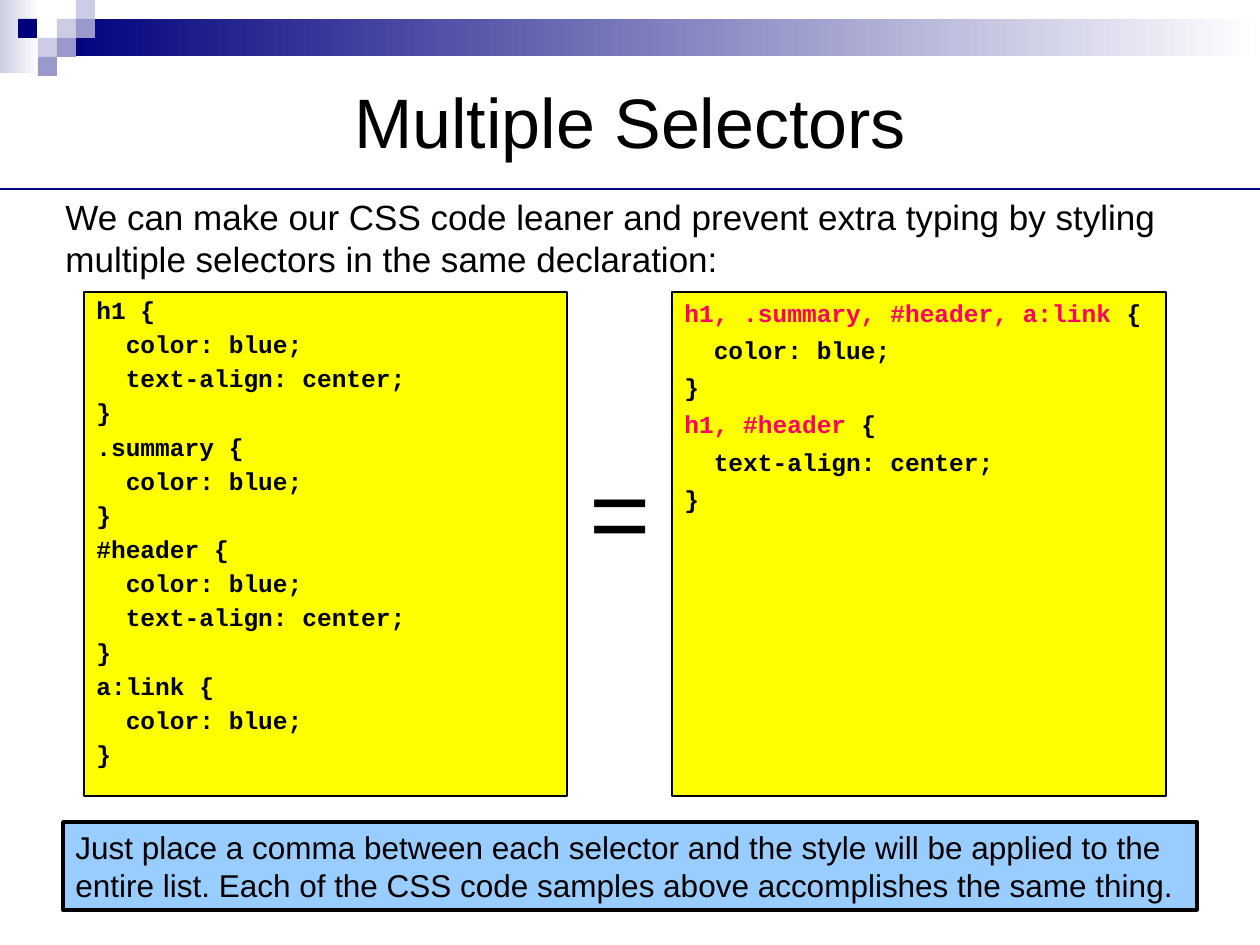
from pptx import Presentation
from pptx.dml.color import RGBColor
from pptx.enum.shapes import MSO_CONNECTOR, MSO_SHAPE
from pptx.enum.text import MSO_ANCHOR, PP_ALIGN
from pptx.oxml.ns import qn
from pptx.util import Pt
from lxml.etree import SubElement

EMU_PER_PX = 914400 / 126
COLORS = {
    "navy": "00007D", "lilac": "CCCCE6", "violet": "9999CC", "white": "FFFFFF",
    "black": "000000", "yellow": "FFFF00", "sky": "99CCFF", "pink": "FF0066",
}
TILE = 19
TILES = [  # left, row, color
    (57, 1, "lilac"), (76, 0, "lilac"), (76, 1, "violet"), (38, 2, "lilac"),
    (18, 1, "navy"), (57, 2, "violet"), (38, 3, "violet"),
]
BLUE = "  color: blue;"
CENTERED = "  text-align: center;"
SEPARATE_RULES = [
    "h1 {", BLUE, CENTERED, "}",
    ".summary {", BLUE, "}",
    "#header {", BLUE, CENTERED, "}",
    "a:link {", BLUE, "}",
]
GROUPED_RULES = [
    ("h1, .summary, #header, a:link", " {"), BLUE, "}",
    ("h1, #header", " {"), CENTERED, "}",
]


def px(*lengths):
    return [round(length * EMU_PER_PX) for length in lengths]


def rgb(name):
    return RGBColor.from_string(COLORS[name])


class SlideBuilder:
    def __init__(self, slide, text_font="Arial", code_font="Courier New"):
        self.slide = slide
        self.text_font = text_font
        self.code_font = code_font

    def style(self, paragraph, size, font=None, bold=False):
        paragraph.font.name = font or self.text_font
        paragraph.font.size = Pt(size)
        paragraph.font.bold = bold
        paragraph.font.color.rgb = rgb("black")

    def title(self, words, box):
        title = self.slide.shapes.title
        title.left, title.top, title.width, title.height = px(*box)
        title.text_frame.text = words
        title.text_frame.vertical_anchor = MSO_ANCHOR.MIDDLE
        heading = title.text_frame.paragraphs[0]
        heading.alignment = PP_ALIGN.CENTER
        self.style(heading, 40)

    def text(self, words, box, size):
        frame = self.slide.shapes.add_textbox(*px(*box)).text_frame
        frame.word_wrap = True
        frame.text = words
        self.style(frame.paragraphs[0], size)

    def rect(self, box, fill, line_width=0):
        rect = self.slide.shapes.add_shape(MSO_SHAPE.RECTANGLE, *px(*box))
        rect.shadow.inherit = False
        rect.fill.solid()
        rect.fill.fore_color.rgb = rgb(fill)
        if line_width:
            rect.line.color.rgb = rgb("black")
            rect.line.width = Pt(line_width)
        else:
            rect.line.fill.background()
        return rect

    def fade(self, box, start):
        """Add a bar that fades from the start color to white, left to right."""
        fill = self.rect(box, start).fill
        fill.gradient()
        fill.gradient_angle = 0
        for stop, position, color in zip(fill.gradient_stops, (0, 1), (start, "white")):
            stop.position = position
            stop.color.rgb = rgb(color)

    def rule(self, left, right, y):
        rule = self.slide.shapes.add_connector(
            MSO_CONNECTOR.STRAIGHT, *px(left, y, right, y))
        rule.line.color.rgb = rgb("navy")
        rule.line.width = Pt(1.25)
        SubElement(rule._element.spPr, qn("a:effectLst"))

    def code(self, lines, box, line_spacing):
        """Add a code panel; a (selector, rest) line gets a pink selector."""
        frame = self.rect(box, "yellow", 0.75).text_frame
        frame.vertical_anchor = MSO_ANCHOR.TOP
        for number, line in enumerate(lines):
            paragraph = frame.add_paragraph() if number else frame.paragraphs[0]
            paragraph.alignment = PP_ALIGN.LEFT
            paragraph.line_spacing = line_spacing
            paragraph.space_before = Pt(4.4)
            self.style(paragraph, 14, self.code_font, bold=True)
            selector, rest = line if isinstance(line, tuple) else ("", line)
            if selector:
                run = paragraph.add_run()
                run.text = selector
                run.font.color.rgb = rgb("pink")
            paragraph.add_run().text = rest

    def note(self, words, box):
        frame = self.rect(box, "sky", 2).text_frame
        frame.vertical_anchor = MSO_ANCHOR.TOP
        frame.text = words
        paragraph = frame.paragraphs[0]
        paragraph.alignment = PP_ALIGN.LEFT
        paragraph.space_before = paragraph.space_after = Pt(6)
        self.style(paragraph, 18)


def main():
    deck = Presentation()
    deck.slide_width, deck.slide_height = px(1260, 945)
    page = SlideBuilder(deck.slides.add_slide(deck.slide_layouts[5]))

    page.fade((0, 0, 39, 73), "lilac")
    page.fade((57, 19, 1203, 37), "navy")
    for left, row, color in TILES:
        page.rect((left, row * TILE, TILE, TILE), color)

    page.title("Multiple Selectors", (63, 53, 1134, 136))
    page.rule(0, 1260, 189)
    page.text("We can make our CSS code leaner and prevent extra typing by styling "
              "multiple selectors in the same declaration:", (53, 189, 1144, 95), 20)
    page.code(SEPARATE_RULES, (84, 292, 483, 504), 0.9)
    page.code(GROUPED_RULES, (672, 292, 494, 504), 1.0)
    page.text("=", (577, 440, 84, 136), 60)
    page.note("Just place a comma between each selector and the style will be applied "
              "to the entire list. Each of the CSS code samples above accomplishes "
              "the same thing.", (63, 822, 1134, 88))

    deck.save("out.pptx")


if __name__ == "__main__":
    main()
